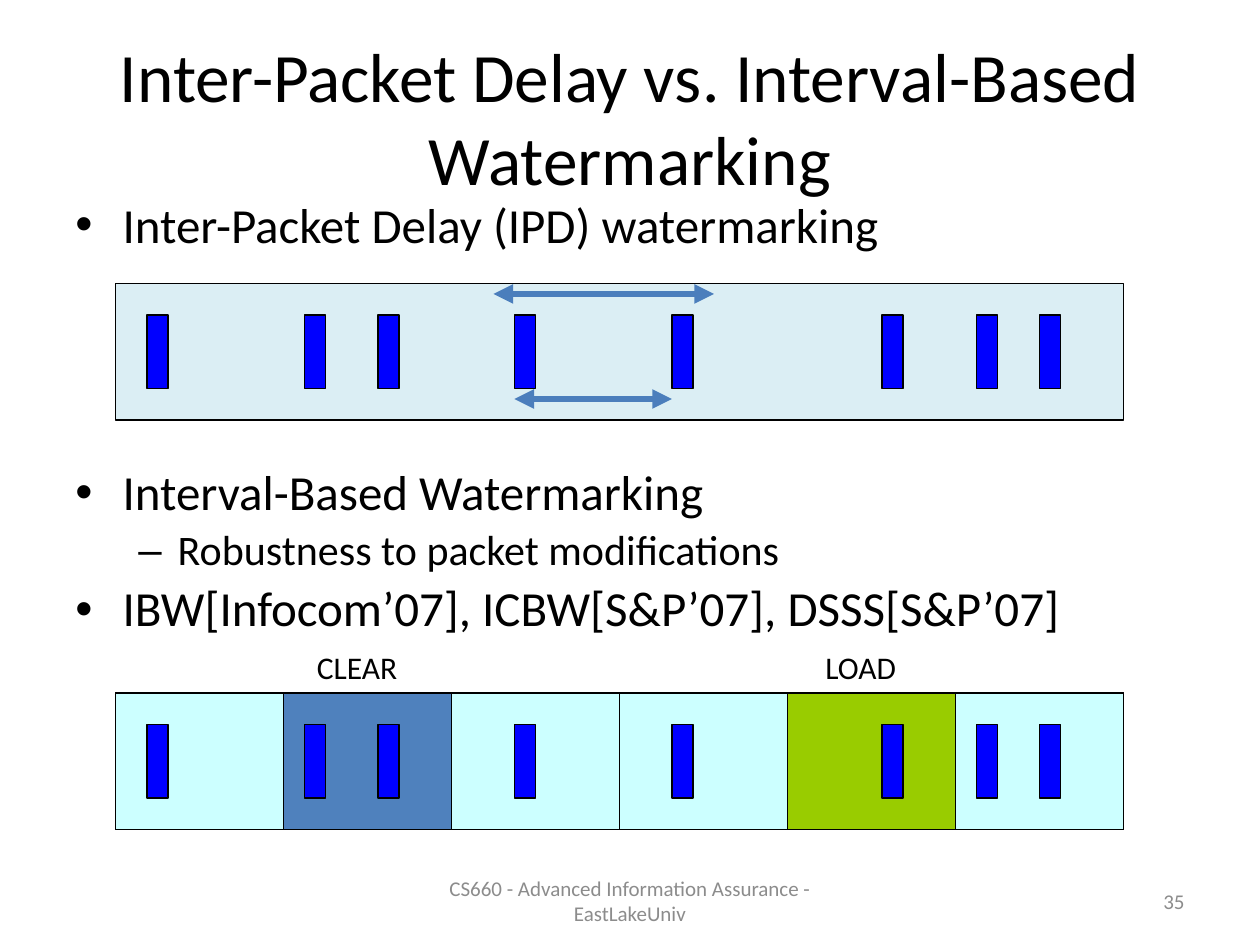
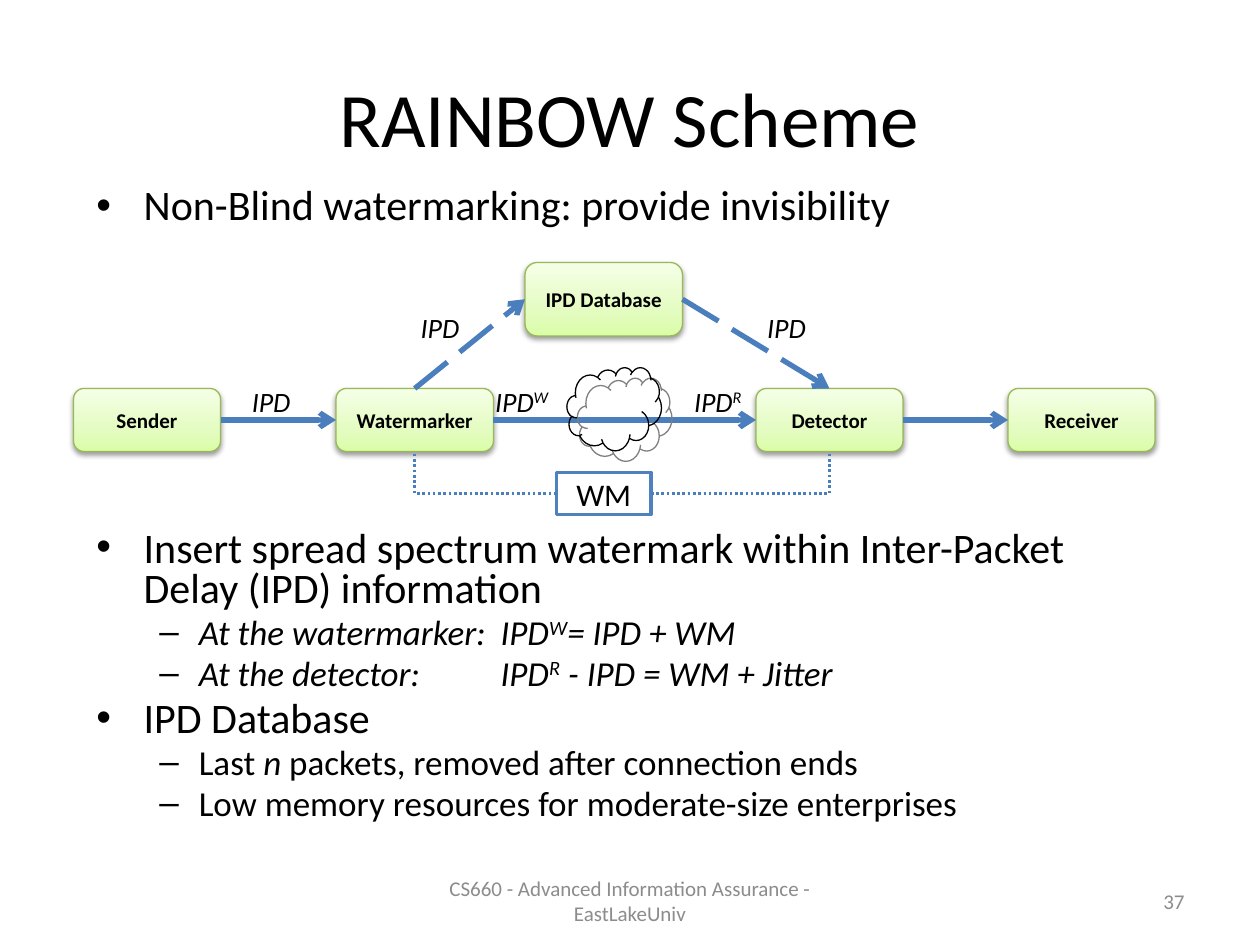
import copy

import pptx
import pptx.dml.color
import pptx.enum.dml
import pptx.enum.shapes
import pptx.enum.text
import pptx.oxml
import pptx.oxml.ns
import pptx.util

Pt = pptx.util.Pt
qn = pptx.oxml.ns.qn
SHAPE = pptx.enum.shapes.MSO_SHAPE
CONNECTOR = pptx.enum.shapes.MSO_CONNECTOR
DASH = pptx.enum.dml.MSO_LINE
ALIGN = pptx.enum.text.PP_ALIGN
ANCHOR = pptx.enum.text.MSO_ANCHOR

# Shared style
FONT = "Calibri"
BLACK, GREY, WHITE = "000000", "8C8C8C", "FFFFFF"
ARROW_BLUE, ACCENT_BLUE, PACKET_BLUE = "4B7EBC", "4F81BD", "0000FF"
PALE_BLUE, PALE_CYAN, LIME = "DBEEF4", "CCFFFF", "99CC00"
NODE_EDGE = "98B955"
NODE_GRADIENT = [(0, "DAFDA7"), (0.35, "E4FCC2"), (1, "F5FFE7")]
TITLE_AREA = (36, 21.6, 648, 90)
FOOTER_AREA = (246, 500.5, 228, 28.75)
NUMBER_AREA = (516, 500.5, 168, 28.75)
FOOTER = "CS660 - Advanced Information Assurance - EastLakeUniv"
BULLETS = [("•", 27, -27), ("–", 58.5, -22.5)]  # sign, margin, indent by level

# Slide 1: packet strips
WATERMARKING_TITLE = "Inter-Packet Delay vs. Interval-Based Watermarking"
DELAY_POINTS = [(0, ["Inter-Packet Delay (IPD) watermarking"])]
INTERVAL_POINTS = [
    (0, ["Interval-Based Watermarking"]),
    (1, ["Robustness to packet modifications"]),
    (0, ["IBW[Infocom’07], ICBW[S&P’07], DSSS[S&P’07]"]),
]
STRIP_LEFT, STRIP_WIDTH, STRIP_HEIGHT = 66, 576, 78
DELAY_TOP, INTERVAL_TOP = 162, 396
INTERVAL_COLOURS = [PALE_CYAN, None, PALE_CYAN, PALE_CYAN, LIME, PALE_CYAN]
PACKET_LEFTS = [84, 174, 216, 294, 384, 504, 558, 594]
DELAY_ARROWS = [(294, 384, 228), (282, 408, 168)]  # from x, to x, y
INTERVAL_LABELS = [("CLEAR", 174, 74), ("LOAD", 464.5, 63)]

# Slide 2: scheme diagram
ITALIC, RAISED = {"italic": True}, {"italic": True, "baseline": 30000}
RAINBOW_TITLE = "RAINBOW Scheme"
BLIND_POINTS = [(0, ["Non-Blind watermarking: provide invisibility"])]
SCHEME_POINTS = [
    (0, ["Insert spread spectrum watermark within Inter-Packet Delay (IPD) information"]),
    (1, [("At the watermarker:\tIPD", ITALIC), ("W", RAISED), ("= IPD + WM", ITALIC)]),
    (1, [("At the detector:\tIPD", ITALIC), ("R", RAISED), (" - IPD = WM + Jitter", ITALIC)]),
    (0, ["IPD Database"]),
    (1, ["Last ", ("n", ITALIC), " packets, removed after connection ends"]),
    (1, ["Low memory resources for moderate-size enterprises"]),
]
FORMULA_TABS = [172, 231]
NODES = {
    "Sender": (42, 222, 84, 36),
    "Watermarker": (192, 222, 90, 36),
    "Detector": (432, 222, 84, 36),
    "Receiver": (576, 222, 84, 36),
    "IPD Database": (300, 150, 90, 42),
}
TOP, LEFT, BOTTOM, RIGHT = range(4)
FLOWS = [
    ("Sender", RIGHT, "Watermarker", LEFT, None),
    ("Watermarker", RIGHT, "Detector", LEFT, None),
    ("Detector", RIGHT, "Receiver", LEFT, None),
    ("Watermarker", TOP, "IPD Database", LEFT, DASH.LONG_DASH),
    ("IPD Database", RIGHT, "Detector", TOP, DASH.LONG_DASH),
]
KEY_AREA = (318, 270, 54, 24)
KEY_LINKS = [(LEFT, "Watermarker"), (RIGHT, "Detector")]
CLOUD_AREA = (324, 210, 54, 47.5)
FLOW_LABELS = [  # left, top, width, superscript
    (136.8, 216, 36.7, ""), (275.8, 216, 46, "W"), (233.3, 174, 36.7, ""),
    (389.5, 216, 42.5, "R"), (431.3, 174, 36.7, ""),
]


def rgb(colour):
    return pptx.dml.color.RGBColor.from_string(colour)


def points(values):
    return [Pt(value) for value in values]


def append_xml(parent, tag, **attributes):
    child = parent.makeelement(qn(tag), {k: str(v) for k, v in attributes.items()})
    parent.append(child)
    return child


def set_values(target, values):
    for name, value in values.items():
        setattr(target, name, value)


def write(para, spans, size, colour=BLACK, **common):
    """Fill a paragraph with spans: plain strings or (text, format) pairs."""
    for span in spans:
        text, extra = (span, {}) if isinstance(span, str) else span
        look = {"name": FONT, "size": Pt(size), **common, **extra}
        baseline = look.pop("baseline", None)
        run = para.add_run()
        run.text = text
        set_values(run.font, look)
        run.font.color.rgb = rgb(colour)
        if baseline:
            run._r.get_or_add_rPr().set("baseline", str(baseline))


def add_text(page, area, spans, size, colour=BLACK, align=ALIGN.LEFT,
             anchor=ANCHOR.TOP, wrap=True, **common):
    frame = page.shapes.add_textbox(*points(area)).text_frame
    set_values(frame, {"word_wrap": wrap, "vertical_anchor": anchor})
    frame.paragraphs[0].alignment = align
    write(frame.paragraphs[0], spans, size, colour, **common)


def add_bullets(page, area, items, sizes, spacing, tabs=()):
    frame = page.shapes.add_textbox(*points(area)).text_frame
    frame.word_wrap = True
    for index, (level, spans) in enumerate(items):
        para = frame.add_paragraph() if index else frame.paragraphs[0]
        sign, margin, indent = BULLETS[level]
        set_values(para, {"level": level, "line_spacing": spacing,
                          "space_before": Pt(0.2 * sizes[level])})
        props = para._p.get_or_add_pPr()
        props.set("marL", str(Pt(margin)))
        props.set("indent", str(Pt(indent)))
        append_xml(props, "a:buFont", typeface="Arial")
        append_xml(props, "a:buChar", char=sign)
        if tabs and level:
            stops = append_xml(props, "a:tabLst")
            for tab in tabs:
                append_xml(stops, "a:tab", pos=Pt(tab), algn="l")
        write(para, spans, sizes[level])


def add_box(page, area, fill=None, edge=BLACK, width=0.75, kind=SHAPE.RECTANGLE):
    box = page.shapes.add_shape(kind, *points(area))
    box.shadow.inherit = False
    if fill:
        box.fill.solid()
        box.fill.fore_color.rgb = rgb(fill)
    else:
        box.fill.background()
    box.line.color.rgb = rgb(edge)
    box.line.width = Pt(width)
    return box


def add_caption(box, text, size, **common):
    box.text_frame.vertical_anchor = ANCHOR.MIDDLE
    para = box.text_frame.paragraphs[0]
    para.alignment = ALIGN.CENTER
    write(para, [text], size, **common)


def add_shadow(box, colour, opacity, blur, distance, angle):
    effects = box._element.spPr.find(qn("a:effectLst"))
    shadow = append_xml(effects, "a:outerShdw", blurRad=Pt(blur), dist=Pt(distance),
                        dir=angle * 60000, rotWithShape=0)
    tone = append_xml(shadow, "a:srgbClr", val=colour)
    append_xml(tone, "a:alpha", val=opacity * 1000)


def add_line(page, ends=(0, 0, 0, 0), width=3, dash=None, kind=CONNECTOR.STRAIGHT,
             head=None, tail=None):
    line = page.shapes.add_connector(kind, *points(ends))
    line.line.color.rgb = rgb(ARROW_BLUE)
    line.line.width = Pt(width)
    if dash:
        line.line.dash_style = dash
    outline = line.line._get_or_add_ln()
    for tag, style in (("a:headEnd", head), ("a:tailEnd", tail)):
        if style:
            append_xml(outline, tag, type=style)
    append_xml(line._element.spPr, "a:effectLst")
    return line


def add_page(deck, title, size, number):
    page = deck.slides.add_slide(deck.slide_layouts[5])
    heading = page.shapes.title
    set_values(heading, dict(zip(("left", "top", "width", "height"), points(TITLE_AREA))))
    set_values(heading.text_frame, {"word_wrap": True, "vertical_anchor": ANCHOR.MIDDLE,
                                    "auto_size": pptx.enum.text.MSO_AUTO_SIZE.NONE})
    para = heading.text_frame.paragraphs[0]
    para.alignment = ALIGN.CENTER
    write(para, [title], size)
    for area, text, align in ((FOOTER_AREA, FOOTER, ALIGN.CENTER),
                              (NUMBER_AREA, str(number), ALIGN.RIGHT)):
        add_text(page, area, [text], 12, GREY, align, ANCHOR.MIDDLE)
    return page


def add_packets(page, strip_top):
    for left in PACKET_LEFTS:
        add_box(page, (left, strip_top + 18, 12, 42), PACKET_BLUE)


def add_node(page, name, area):
    node = add_box(page, area, edge=NODE_EDGE, kind=SHAPE.ROUNDED_RECTANGLE)
    node.fill.gradient()
    node.fill.gradient_angle = 90
    stops = node._element.spPr.find(".//" + qn("a:gsLst"))
    stops.insert(1, copy.deepcopy(stops[0]))
    for stop, (position, colour) in zip(node.fill.gradient_stops, NODE_GRADIENT):
        stop.position = position
        stop.color.rgb = rgb(colour)
    add_shadow(node, BLACK, 38, 3.1, 1.6, 90)
    add_caption(node, name, 12, bold=True)
    return node


def build_watermarking(deck):
    page = add_page(deck, WATERMARKING_TITLE, 39.6, 35)
    add_bullets(page, (36, 114, 648, 36), DELAY_POINTS, (28, 24), 0.8)
    add_bullets(page, (36, 264, 648, 108), INTERVAL_POINTS, (28, 24), 0.9)

    # Delay strip
    add_box(page, (STRIP_LEFT, DELAY_TOP, STRIP_WIDTH, STRIP_HEIGHT), PALE_BLUE)
    add_packets(page, DELAY_TOP)
    for start, end, y in DELAY_ARROWS:
        add_line(page, (start, y, end, y), 3.75, head="triangle", tail="triangle")

    # Interval strip; an interval without a colour shows the strip behind it
    add_box(page, (STRIP_LEFT, INTERVAL_TOP, STRIP_WIDTH, STRIP_HEIGHT), ACCENT_BLUE)
    cell = STRIP_WIDTH / len(INTERVAL_COLOURS)
    for index, colour in enumerate(INTERVAL_COLOURS):
        if colour:
            add_box(page, (STRIP_LEFT + index * cell, INTERVAL_TOP, cell, STRIP_HEIGHT), colour)
    add_packets(page, INTERVAL_TOP)
    for text, left, width in INTERVAL_LABELS:
        add_text(page, (left, 367, width, 29), [text], 18, wrap=False)


def build_rainbow(deck):
    page = add_page(deck, RAINBOW_TITLE, 44, 37)
    add_bullets(page, (48, 102, 624, 36), BLIND_POINTS, (24, 20), 0.9)
    add_bullets(page, (48, 300, 624, 180), SCHEME_POINTS, (24, 20), 0.8, FORMULA_TABS)

    # Nodes and flows
    nodes = {name: add_node(page, name, area) for name, area in NODES.items()}
    for source, source_side, target, target_side, dash in FLOWS:
        flow = add_line(page, dash=dash, tail="arrow")
        flow.begin_connect(nodes[source], source_side)
        flow.end_connect(nodes[target], target_side)
    for left, top, width, raised in FLOW_LABELS:
        spans = ["IPD"] + ([(raised, RAISED)] if raised else [])
        add_text(page, (left, top, width, 26.6), spans, 16, wrap=False, italic=True)

    # Shared watermark key
    key = add_box(page, KEY_AREA, WHITE, ACCENT_BLUE, 2)
    add_caption(key, "WM", 18)
    for side, name in KEY_LINKS:
        link = add_line(page, width=1.5, dash=DASH.ROUND_DOT, kind=CONNECTOR.ELBOW)
        link._element.spPr.find(qn("a:prstGeom")).set("prst", "bentConnector2")
        link.begin_connect(key, side)
        link.end_connect(nodes[name], BOTTOM)

    # Network cloud
    cloud = add_box(page, CLOUD_AREA, kind=SHAPE.CLOUD)
    add_shadow(cloud, "808080", 100, 0, 8.5, 45)


def main():
    deck = pptx.Presentation()
    deck.slide_width, deck.slide_height = Pt(720), Pt(540)
    build_watermarking(deck)
    build_rainbow(deck)
    deck.save("out.pptx")


if __name__ == "__main__":
    main()
